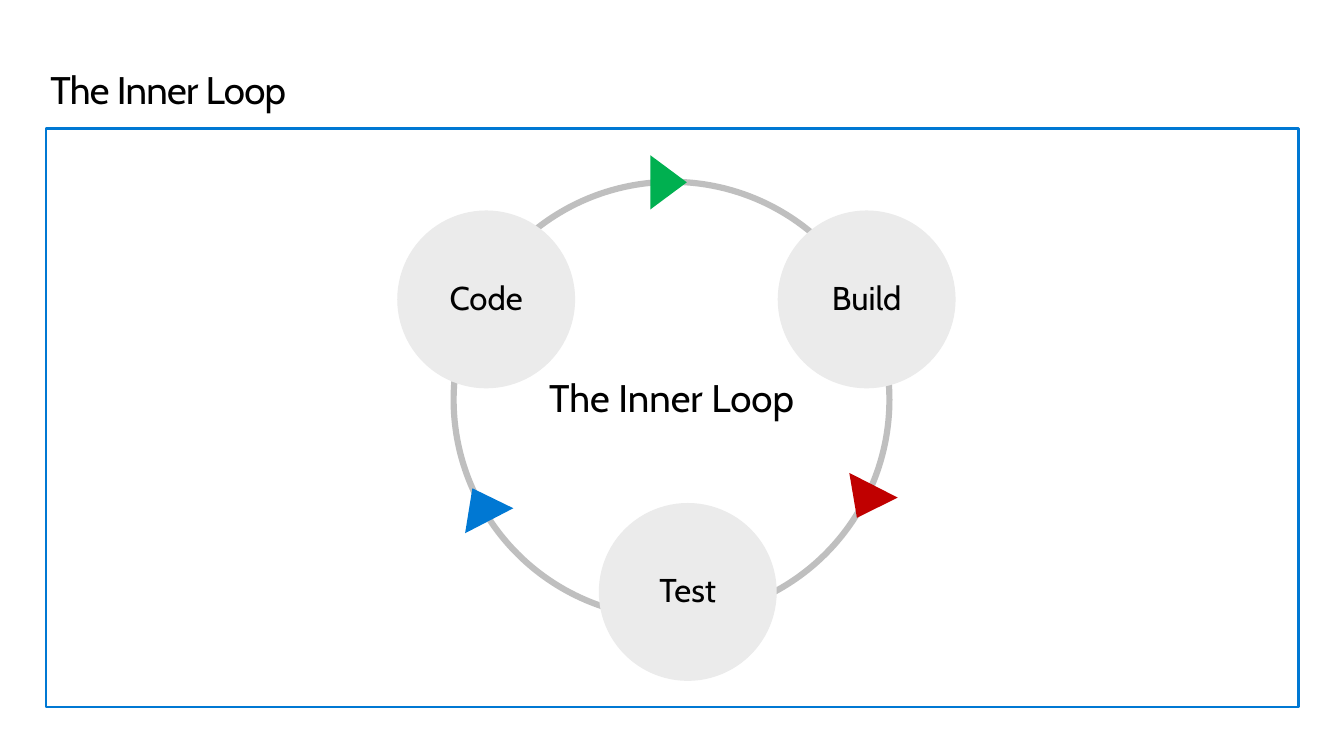
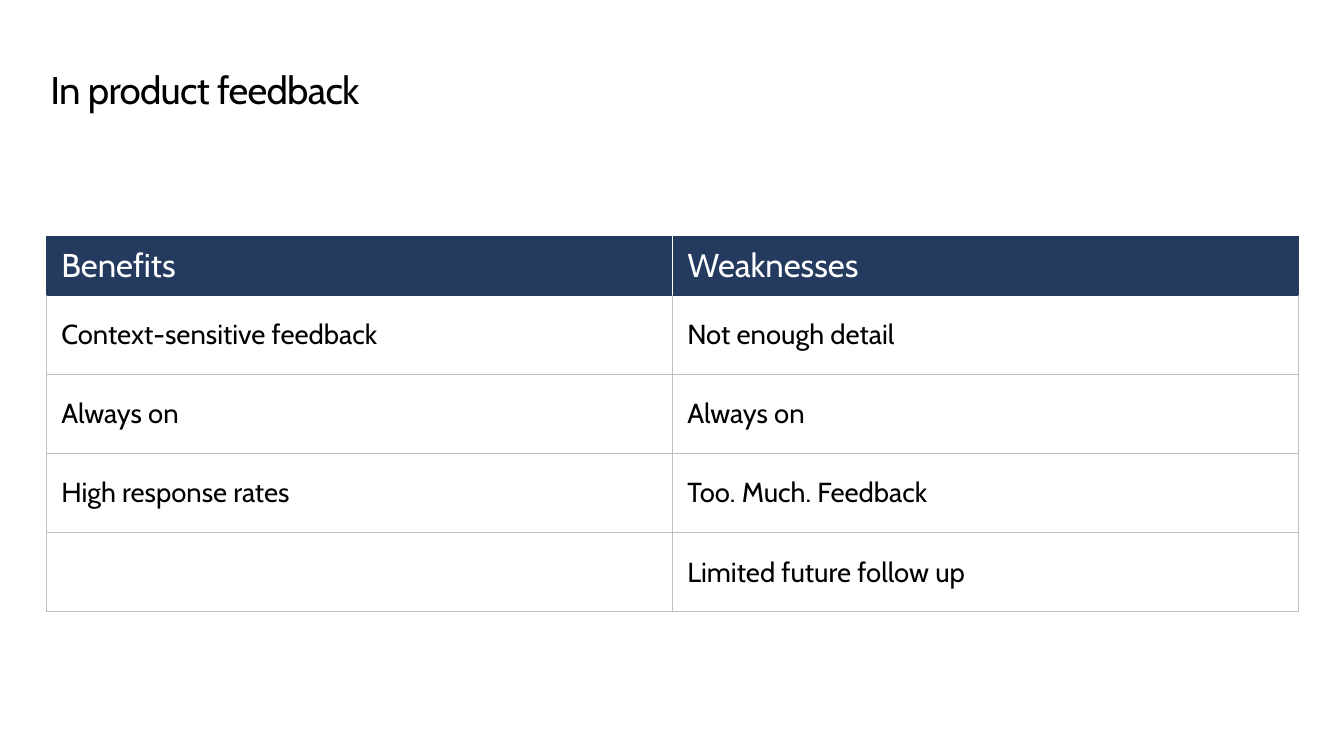
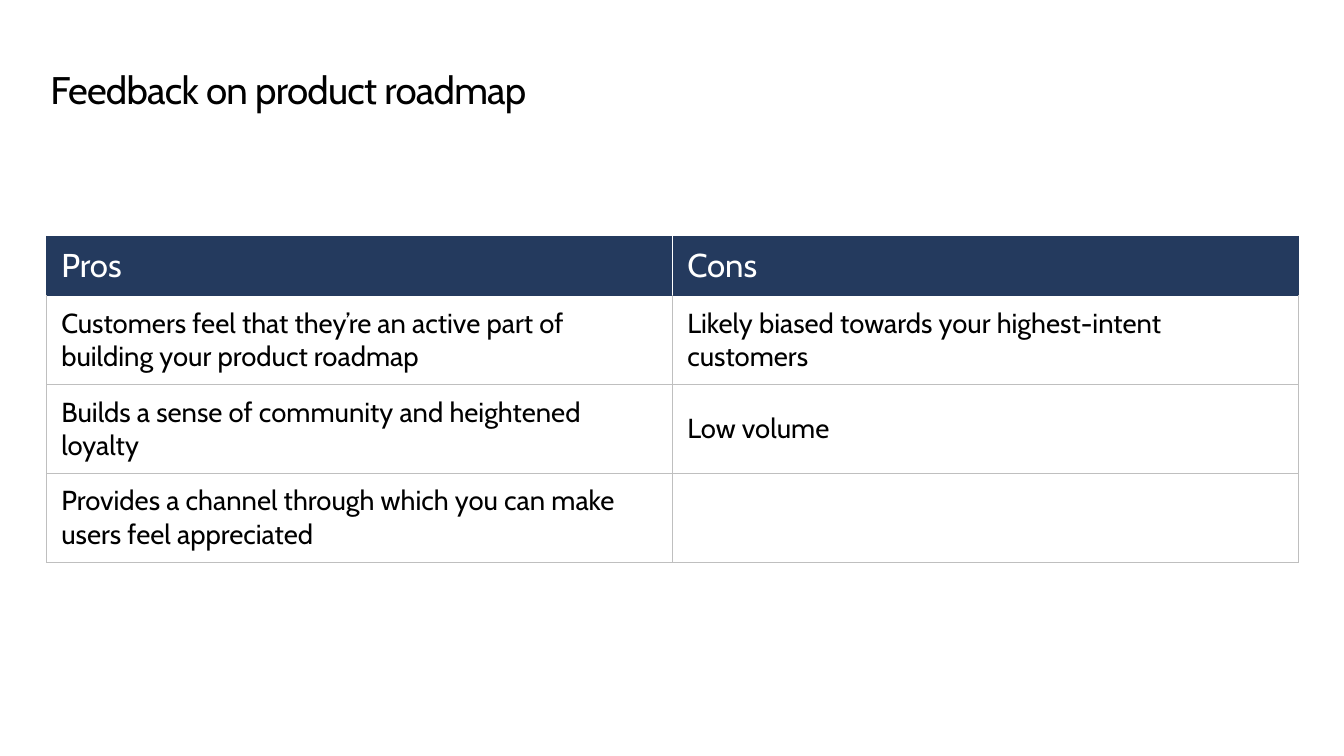
from dataclasses import dataclass

from lxml import etree
from pptx import Presentation
from pptx.dml.color import RGBColor
from pptx.enum.shapes import MSO_SHAPE
from pptx.enum.text import MSO_ANCHOR, MSO_AUTO_SIZE, PP_ALIGN
from pptx.oxml.ns import qn
from pptx.util import Pt

PX = 9144  # 100 px to the inch
RECT, OVAL, WEDGE = MSO_SHAPE.RECTANGLE, MSO_SHAPE.OVAL, MSO_SHAPE.ISOSCELES_TRIANGLE
TOP, MIDDLE = MSO_ANCHOR.TOP, MSO_ANCHOR.MIDDLE
LEFT, CENTER = PP_ALIGN.LEFT, PP_ALIGN.CENTER


@dataclass(frozen=True)
class Theme:
    font: str = "Cabin"
    black: str = "000000"
    white: str = "FFFFFF"
    navy: str = "243A5E"
    blue: str = "0078D3"
    green: str = "00B050"
    red: str = "C00000"
    disc: str = "EBEBEB"
    rule: str = "BFBFBF"
    title: int = 28
    head: int = 24
    body: int = 20


T = Theme()


def write(frame, text, size, color=T.black, align=LEFT, inset=(0, 0), spacing=None):
    across, down = (n * PX for n in inset)
    margins = {"margin_left": across, "margin_right": across,
               "margin_top": down, "margin_bottom": down}
    for name, value in margins.items():
        setattr(frame, name, value)
    frame.word_wrap = True
    frame.text = text
    para = frame.paragraphs[0]
    para.alignment, para.line_spacing = align, spacing
    for run in para.runs:
        look = {"name": T.font, "size": Pt(size), "bold": False}
        for name, value in look.items():
            setattr(run.font, name, value)
        run.font.color.rgb = RGBColor.from_string(color)


def draw(slide, kind, box, fill=None, line=None, width=0):
    shape = slide.shapes.add_shape(kind, *(n * PX for n in box))
    shape.shadow.inherit = False
    if fill:
        shape.fill.solid()
        shape.fill.fore_color.rgb = RGBColor.from_string(fill)
    else:
        shape.fill.background()
    if line:
        shape.line.color.rgb = RGBColor.from_string(line)
        shape.line.width = Pt(width)
    else:
        shape.line.fill.background()
    return shape


deck = Presentation()
deck.slide_width, deck.slide_height = 1360 * PX, 765 * PX

slides = []
for text in ("The Inner Loop", "In product feedback", "Feedback on product roadmap"):
    slide = deck.slides.add_slide(deck.slide_layouts[5])
    title = slide.shapes.title
    place = {"left": 51, "top": 69, "width": 1261, "height": 45}
    for name, value in place.items():
        setattr(title, name, value * PX)
    frame = title.text_frame
    write(frame, text, T.title, spacing=Pt(32))
    frame.vertical_anchor = TOP
    frame.auto_size = MSO_AUTO_SIZE.SHAPE_TO_FIT_TEXT
    frame.paragraphs[0].runs[0].font._element.set("spc", "-50")
    slides.append(slide)

# Loop diagram
loop = slides[0]
draw(loop, RECT, (47, 130, 1267, 585), line=T.blue, width=1.5)
ring = draw(loop, OVAL, (459, 184, 441, 441), line=T.rule, width=4.5)
labels = [(ring, "The Inner Loop", T.title)]
for text, x, y in (("Code", 402, 213), ("Build", 787, 213), ("Test", 606, 509)):
    labels.append((draw(loop, OVAL, (x, y, 180, 180), T.disc), text, T.head))
for shape, text, size in labels:
    write(shape.text_frame, text, size, align=CENTER, inset=(20, 16), spacing=0.9)
    shape.text_frame.vertical_anchor = MIDDLE
for x, y, turn, color in ((649, 166, 90, T.green), (848, 489, 207, T.red),
                          (459, 492, 332.6, T.blue)):
    draw(loop, WEDGE, (x, y, 55, 37), color).rotation = turn

# Feedback tables
feedback = (
    ("Benefits", "Weaknesses"),
    ("Context-sensitive feedback", "Not enough detail"),
    ("Always on", "Always on"),
    ("High response rates", "Too. Much. Feedback"),
    ("", "Limited future follow up"),
)
roadmap = (
    ("Pros", "Cons"),
    ("Customers feel that they’re an active part of building your product roadmap",
     "Likely biased towards your highest-intent customers"),
    ("Builds a sense of community and heightened loyalty", "Low volume"),
    ("Provides a channel through which you can make users feel appreciated", ""),
)
for slide, rows, tall in ((slides[1], feedback, 80), (slides[2], roadmap, 90)):
    high = 60 + tall * (len(rows) - 1)
    grid = slide.shapes.add_table(len(rows), 2, 47 * PX, 239 * PX,
                                  1267 * PX, high * PX).table
    grid.horz_banding = False
    for r, row in enumerate(rows):
        head = r == 0
        grid.rows[r].height = (60 if head else tall) * PX
        for c, text in enumerate(row):
            cell = grid.cell(r, c)
            write(cell.text_frame, text, T.head if head else T.body,
                  T.white if head else T.black)
            cell.margin_left = cell.margin_right = 15 * PX
            cell.margin_top = cell.margin_bottom = 10 * PX
            cell.vertical_anchor = TOP if head else MIDDLE
            edges = dict.fromkeys("LRTB", T.navy if head else T.rule)
            if head:
                edges["L" if c else "R"] = T.white
            elif r == 1:
                edges["T"] = T.navy
            props = cell._tc.get_or_add_tcPr()
            for side, color in edges.items():
                edge = etree.SubElement(props, qn("a:ln" + side), w=str(Pt(0.5)))
                paint = etree.SubElement(edge, qn("a:solidFill"))
                etree.SubElement(paint, qn("a:srgbClr"), val=color)
            if head:
                cell.fill.solid()
                cell.fill.fore_color.rgb = RGBColor.from_string(T.navy)
            else:
                cell.fill.background()

deck.save("out.pptx")
